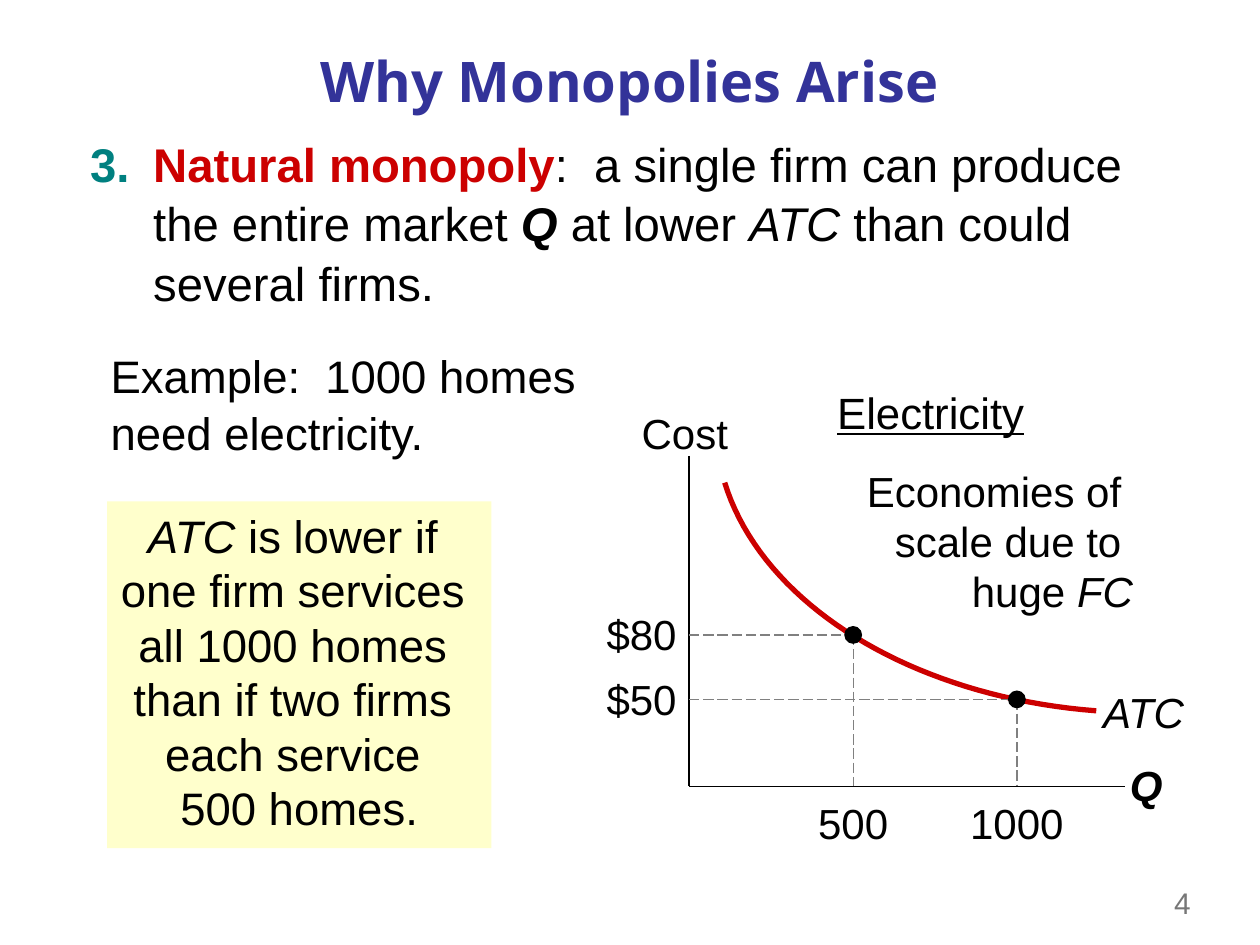
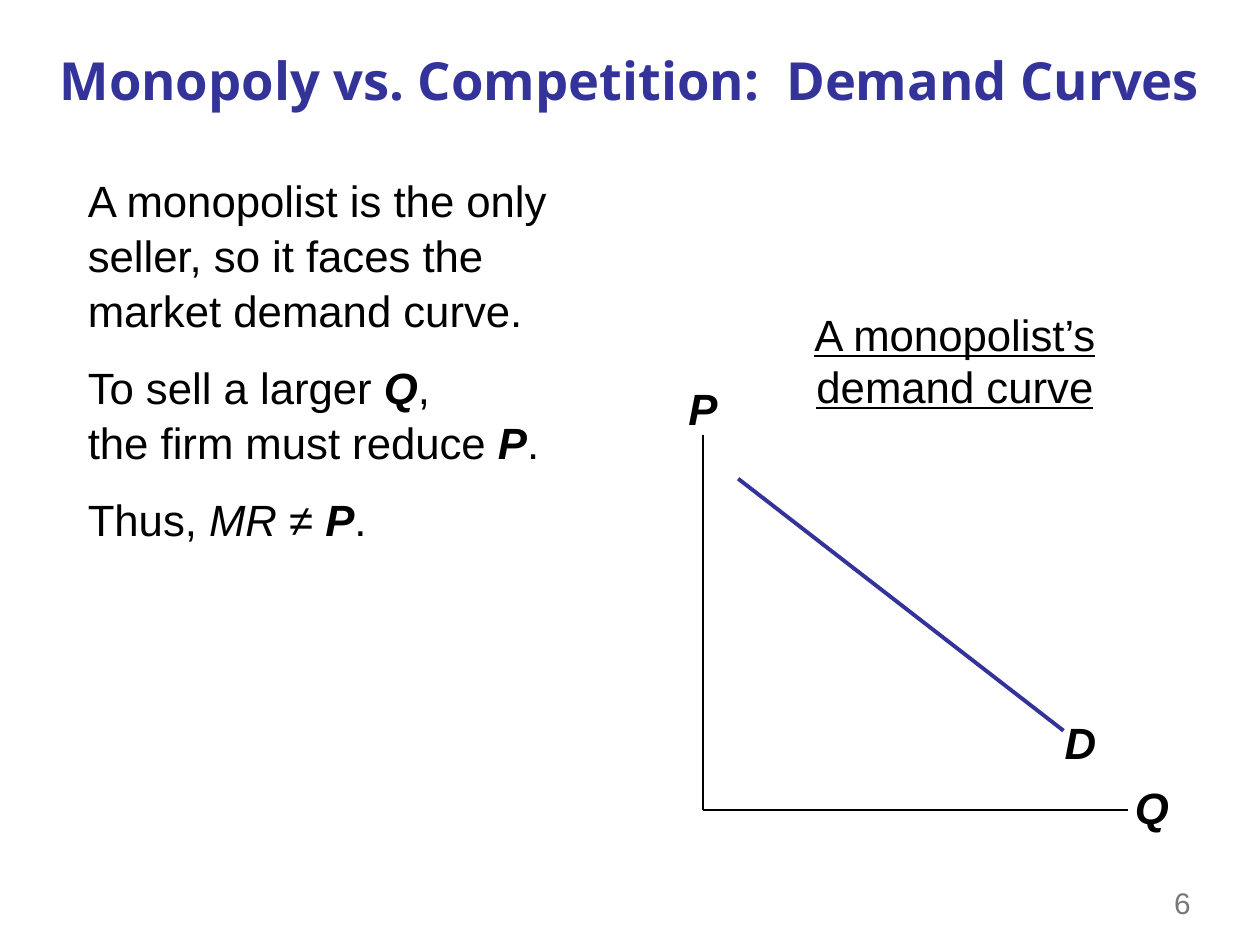
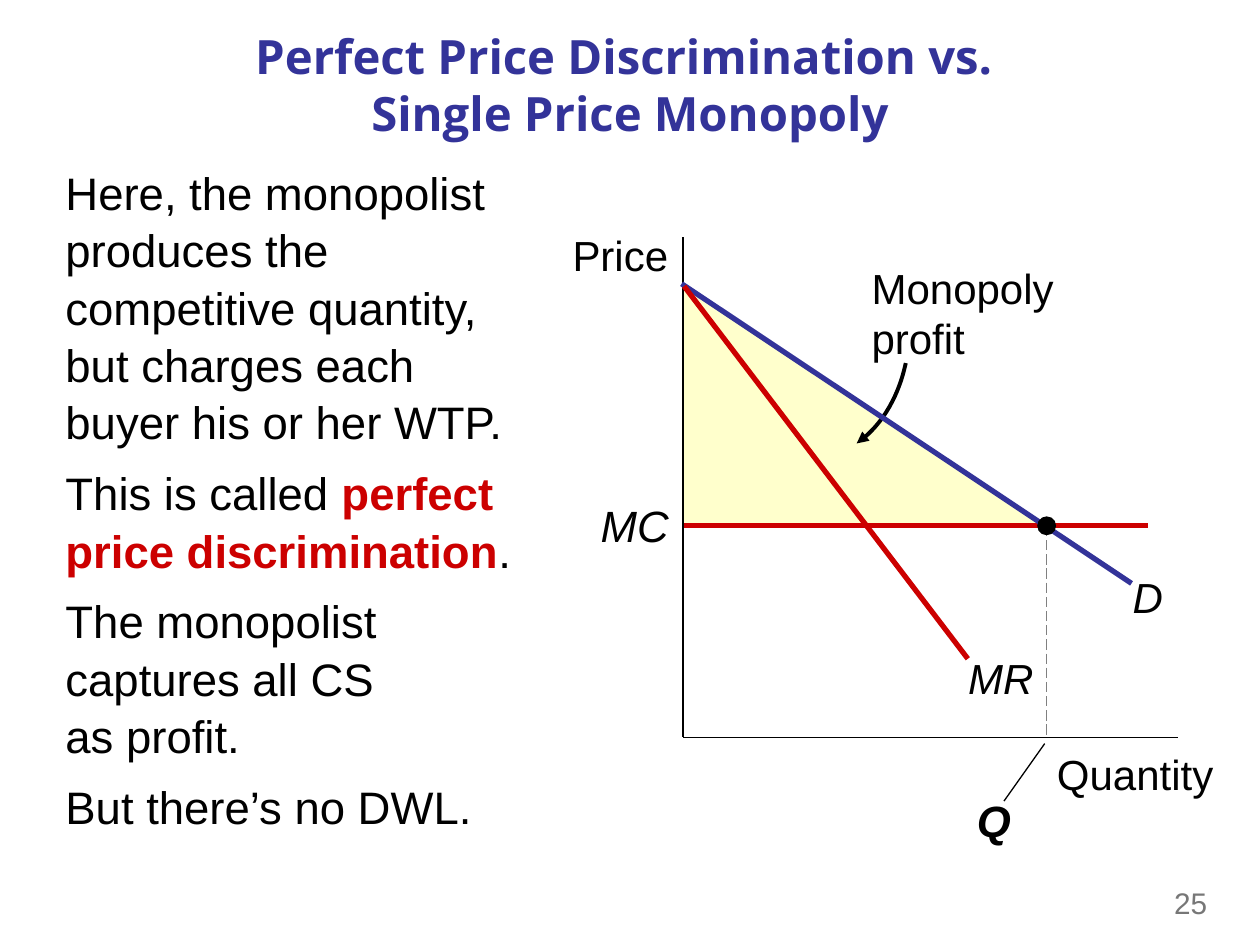
from lxml import etree
from pptx import Presentation
from pptx.dml.color import RGBColor
from pptx.enum.dml import MSO_LINE
from pptx.enum.shapes import MSO_CONNECTOR, MSO_SHAPE
from pptx.enum.text import MSO_ANCHOR, PP_ALIGN
from pptx.oxml.ns import qn
from pptx.util import Cm, Pt

LEFT, CENTER, RIGHT = PP_ALIGN.LEFT, PP_ALIGN.CENTER, PP_ALIGN.RIGHT
TOP, MIDDLE = MSO_ANCHOR.TOP, MSO_ANCHOR.MIDDLE
LONG_DASH = MSO_LINE.LONG_DASH
STRAIGHT = MSO_CONNECTOR.STRAIGHT
OVAL, RECTANGLE = MSO_SHAPE.OVAL, MSO_SHAPE.RECTANGLE
RIGHT_TRIANGLE = MSO_SHAPE.RIGHT_TRIANGLE

COLORS = {
    "title": "333399",
    "text": "000000",
    "term": "CC0000",
    "number": "008080",
    "demand": "333399",
    "cost": "CC0000",
    "guide": "808080",
    "highlight": "FFFFCC",
    "page": "777777",
}
SLIDE_WIDTH, SLIDE_HEIGHT = 25.4, 19.05
CURVE_STEPS = 40


def rgb(color):
    return RGBColor.from_string(COLORS[color])


def bezier(start, control1, control2, end):
    points = []
    for step in range(CURVE_STEPS + 1):
        t = step / CURVE_STEPS
        u = 1 - t
        weights = (u ** 3, 3 * u * u * t, 3 * u * t * t, t ** 3)
        points.append(tuple(
            sum(w * c for w, c in zip(weights, axis))
            for axis in zip(start, control1, control2, end)))
    return points


class Deck:
    def __init__(self):
        self.prs = Presentation()
        self.prs.slide_width = Cm(SLIDE_WIDTH)
        self.prs.slide_height = Cm(SLIDE_HEIGHT)
        self.shapes = None

    def new_slide(self, page, title, size, top=0.71, margin=1.27):
        slide = self.prs.slides.add_slide(self.prs.slide_layouts[6])
        self.shapes = slide.shapes
        self.text(23.42, 17.68, 1.7, 1.04, page, 17, color="page", anchor=MIDDLE)
        self.text(margin, top, SLIDE_WIDTH - 2 * margin, 1.8, [[(title, "b")]], size,
                  CENTER, color="title", font="Open Sans", anchor=MIDDLE)

    def text(self, left, top, width, height, content, size, align=LEFT, **style):
        box = self.shapes.add_textbox(Cm(left), Cm(top), Cm(width), Cm(height))
        self.set_text(box.text_frame, content, size, align, **style)
        return box

    def set_text(self, frame, content, size, align=LEFT, color="text", font="Arial",
                 anchor=TOP, spacing=None, gap=0, inset=True):
        frame.word_wrap = True
        frame.vertical_anchor = anchor
        if not inset:
            frame.margin_left = frame.margin_right = 0
            frame.margin_top = frame.margin_bottom = 0
        paragraphs = [[content]] if isinstance(content, str) else content
        for index, runs in enumerate(paragraphs):
            paragraph = frame.add_paragraph() if index else frame.paragraphs[0]
            paragraph.alignment = align
            if spacing:
                paragraph.line_spacing = spacing
            if index:
                paragraph.space_before = Pt(round(size * gap, 1))
            paragraph.font.name = font
            paragraph.font.size = Pt(size)
            paragraph.font.color.rgb = rgb(color)
            for run in runs:
                self.add_run(paragraph, *([run] if isinstance(run, str) else run))

    def add_run(self, paragraph, words, marks="", color=None):
        for index, line in enumerate(words.split("\n")):
            if index:
                paragraph.add_line_break()
            run = paragraph.add_run()
            run.text = line
            if "b" in marks:
                run.font.bold = True
            if "i" in marks:
                run.font.italic = True
            if "u" in marks:
                run.font.underline = True
            if color:
                run.font.color.rgb = rgb(color)

    def line(self, start, end, color="text", width=0.75, dash=None):
        connector = self.shapes.add_connector(
            STRAIGHT, *(Cm(value) for value in (*start, *end)))
        connector.line.color.rgb = rgb(color)
        connector.line.width = Pt(width)
        if dash:
            connector.line.dash_style = dash
        etree.SubElement(connector._element.spPr, qn("a:effectLst"))

    def guide(self, start, end):
        self.line(start, end, "guide", dash=LONG_DASH)

    def axes(self, origin, top, right):
        self.line((origin[0], top), origin)
        self.line(origin, (right, origin[1]))

    def curve(self, controls, color, width, arrow=False):
        points = [(Cm(x), Cm(y)) for x, y in bezier(*controls)]
        builder = self.shapes.build_freeform(*points[0])
        builder.add_line_segments(points[1:], close=False)
        outline = builder.convert_to_shape()
        outline.shadow.inherit = False
        outline.fill.background()
        outline.line.color.rgb = rgb(color)
        outline.line.width = Pt(width)
        if arrow:
            stroke = outline._element.spPr.find(qn("a:ln"))
            etree.SubElement(stroke, qn("a:tailEnd"), type="triangle")

    def area(self, kind, left, top, width, height, color):
        shape = self.shapes.add_shape(kind, Cm(left), Cm(top), Cm(width), Cm(height))
        shape.shadow.inherit = False
        shape.fill.solid()
        shape.fill.fore_color.rgb = rgb(color)
        shape.line.fill.background()
        return shape

    def dot(self, x, y, size=0.36):
        self.area(OVAL, x - size / 2, y - size / 2, size, size, "text")


def natural_monopoly(deck):
    deck.new_slide("4", "Why Monopolies Arise", 32)
    definition = deck.text(1.27, 2.54, 22.86, 4.19, [[
        ("3.\t", "b", "number"), ("Natural monopoly", "b", "term"),
        ":  a single firm can produce the entire market ", ("Q", "bi"),
        " at lower ", ("ATC", "i"), " than could several firms."]], 27, spacing=1.05)
    indent = definition.text_frame.paragraphs[0]._p.get_or_add_pPr()
    indent.set("marL", str(Cm(1.57)))
    indent.set("indent", str(Cm(-1.27)))

    origin_x, origin_y = origin = (13.89, 15.85)
    deck.axes(origin, 9.19, 22.68)
    deck.text(22.53, 15.19, 1.24, 1.27, [[("Q", "bi")]], 24)
    deck.text(12.6, 8.1, 2.41, 1.27, "Cost", 24, CENTER)
    deck.curve([(22.1, 14.33), (18.39, 14.05), (15.37, 12.19), (14.61, 9.73)], "cost", 3)
    deck.text(21.77, 13.72, 2.57, 1.27, [[("ATC", "i")]], 24, CENTER)
    for homes, cost, x, y in (("500", "$80", 17.2, 12.8), ("1000", "$50", 20.5, 14.1)):
        deck.guide((origin_x, y), (x, y))
        deck.guide((x, y), (x, origin_y))
        deck.dot(x, y)
        deck.text(x - 1.2, 15.95, 2.4, 1.27, homes, 24, CENTER)
        deck.text(11.76, y - 0.53, 1.88, 1.02, cost, 24, RIGHT, inset=False)

    deck.text(1.98, 6.83, 10.67, 2.72, "Example:  1000 homes need electricity.", 26,
              spacing=1.05)
    deck.text(15.6, 7.65, 6.32, 1.32, [[("Electricity", "u")]], 25, CENTER)
    deck.text(17.17, 9.25, 5.92, 3.3,
              [["Economies of \nscale due to \nhuge ", ("FC", "i")]], 24, RIGHT)
    conclusion = deck.area(RECTANGLE, 2.16, 10.11, 7.75, 6.99, "highlight")
    deck.set_text(conclusion.text_frame, [[
        ("ATC", "i"), " is lower if \none firm services \nall 1000 homes \n"
        "than if two firms \neach service \n500 homes."]], 26, CENTER)


def demand_curves(deck):
    deck.new_slide("6", "Monopoly vs. Competition:  Demand Curves", 30, margin=0)
    deck.text(1.52, 3.33, 10.9, 13.74, [
        ["A monopolist is the only seller, so it faces the market demand curve."],
        ["To sell a larger ", ("Q", "bi"), ", \nthe firm must reduce ", ("P", "bi"), "."],
        ["Thus, ", ("MR", "i"), " ≠ ", ("P", "bi"), "."],
    ], 25, spacing=1.05, gap=0.5)
    deck.line((14.88, 9.65), (21.44, 14.73), "demand", 2.25)
    deck.text(21.46, 14.43, 0.84, 1.07, [[("D", "bi")]], 25, inset=False)
    deck.axes((14.17, 16.33), 8.76, 22.73)
    deck.text(13.51, 7.57, 1.32, 1.32, [[("P", "bi")]], 25, CENTER)
    deck.text(22.63, 15.62, 1.5, 1.32, [[("Q", "bi")]], 25)
    deck.text(15.16, 6.07, 8.18, 2.36, [[("A monopolist’s demand curve", "u")]], 25, CENTER)


def price_discrimination(deck):
    deck.new_slide("25", "Perfect Price Discrimination vs. \nSingle Price Monopoly", 27,
                   top=0.79)
    deck.area(RIGHT_TRIANGLE, 13.77, 5.74, 7.24, 4.85, "highlight")
    deck.text(17.32, 5.16, 5.08, 2.29, "Monopoly profit", 24)
    deck.curve([(18.26, 7.32), (18.11, 8.03), (17.75, 8.61), (17.27, 8.94)], "text", 2.25,
               arrow=True)
    deck.text(1.07, 3.15, 10.03, 14.63, [
        ["Here, the monopolist produces the competitive quantity, "
         "but charges each buyer his or her WTP."],
        ["This is called ", ("perfect price discrimination", "b", "term"), "."],
        ["The monopolist captures all CS \nas profit."],
        ["But there’s no DWL."],
    ], 26, spacing=1.05, gap=0.3)

    competitive_x, marginal_cost_y = competitive = (21.1, 10.6)
    origin_x, origin_y = origin = (13.77, 14.86)
    deck.line((origin_x, marginal_cost_y), (23.14, marginal_cost_y), "cost", 3)
    deck.text(11.86, 9.93, 2, 1.32, [[("MC", "i")]], 25)
    deck.axes(origin, 4.78, 23.75)
    deck.text(21.01, 15.09, 3.45, 1.02, "Quantity", 24, RIGHT, inset=False)
    deck.text(9.3, 4.5, 4.42, 1.27, "Price", 24, RIGHT)
    deck.line((13.74, 5.72), (22.81, 11.76), "demand", 3)
    deck.text(22.53, 11.53, 1.22, 1.02, [[("D", "i")]], 24, CENTER, inset=False)
    deck.line((13.79, 5.77), (19.51, 13.28), "cost", 3)
    deck.text(19.35, 13.16, 1.65, 1.02, [[("MR", "i")]], 24, CENTER, inset=False)
    deck.guide(competitive, (competitive_x, origin_y))
    deck.dot(competitive_x, marginal_cost_y, 0.38)
    deck.text(19.35, 16, 1.37, 1.19, [[("Q", "bi")]], 25, CENTER, inset=False)
    deck.line((20.24, 16.15), (21.06, 14.99))


def main():
    deck = Deck()
    natural_monopoly(deck)
    demand_curves(deck)
    price_discrimination(deck)
    deck.prs.save("out.pptx")


if __name__ == "__main__":
    main()
